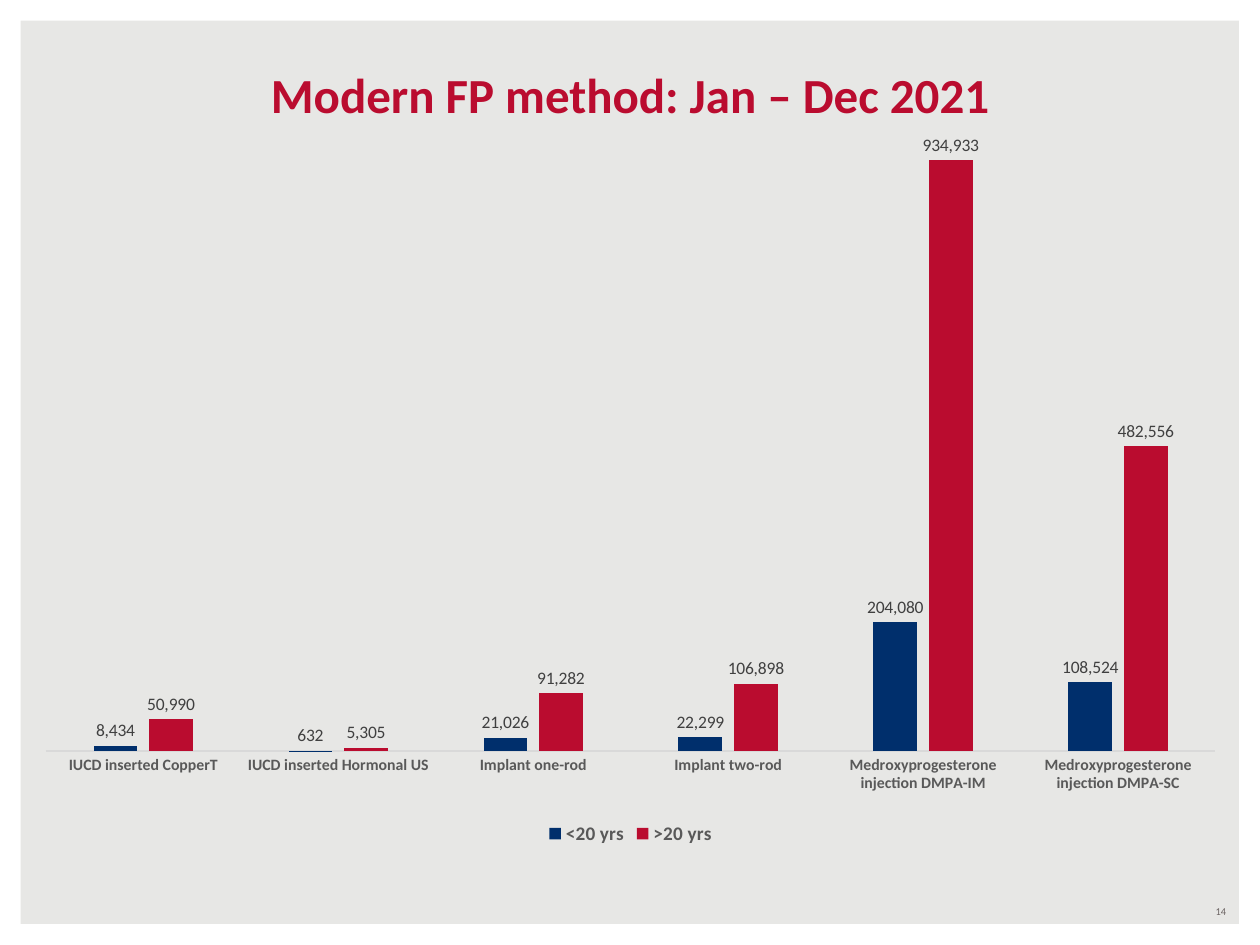
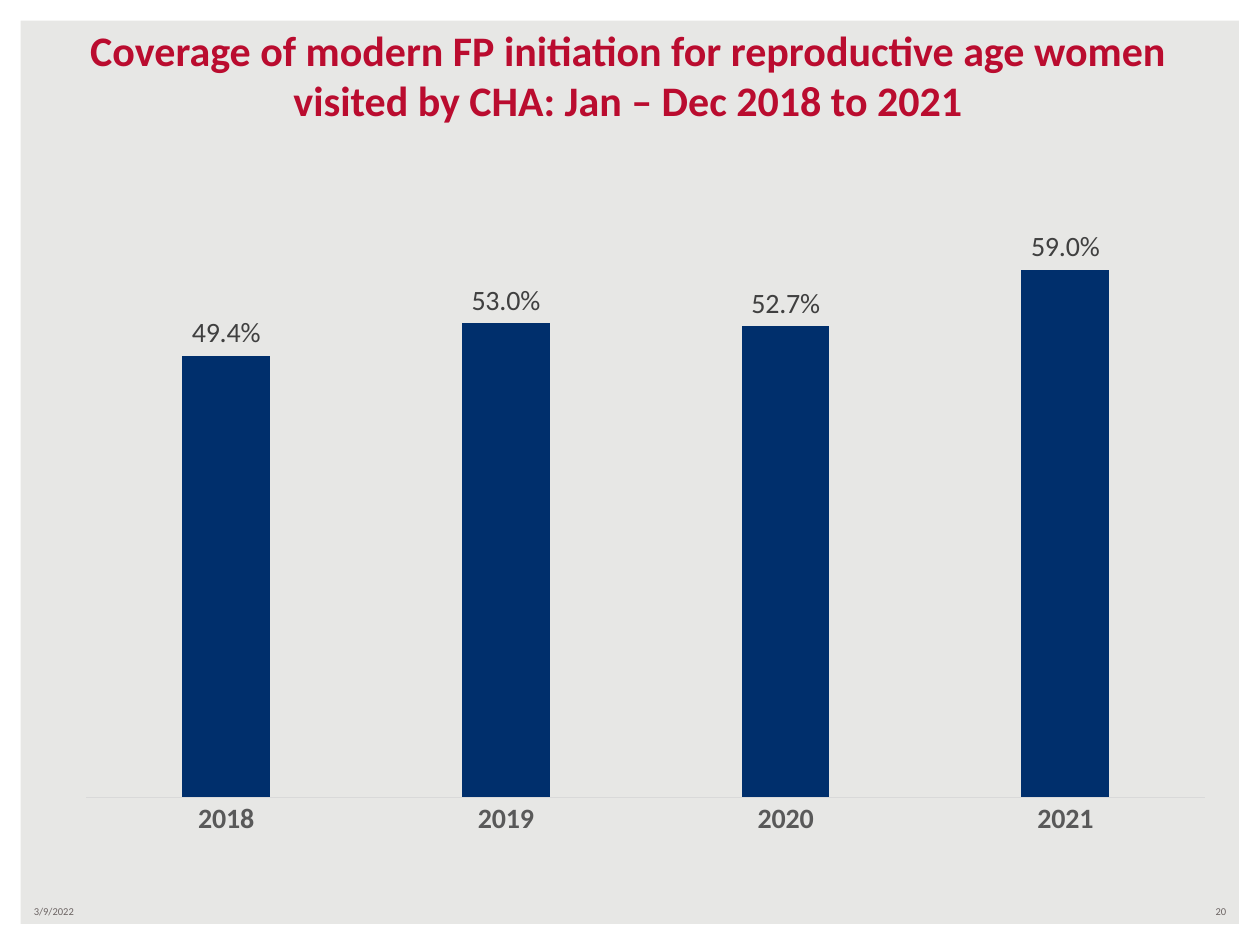
from dataclasses import dataclass

from pptx import Presentation
from pptx.chart.data import CategoryChartData
from pptx.dml.color import RGBColor
from pptx.enum.chart import XL_CHART_TYPE, XL_LABEL_POSITION, XL_LEGEND_POSITION, XL_TICK_MARK
from pptx.enum.shapes import MSO_SHAPE
from pptx.enum.text import MSO_ANCHOR, MSO_AUTO_SIZE, PP_ALIGN
from pptx.util import Inches, Pt

COLUMNS = XL_CHART_TYPE.COLUMN_CLUSTERED
OUTSIDE_END = XL_LABEL_POSITION.OUTSIDE_END
LEGEND_BOTTOM = XL_LEGEND_POSITION.BOTTOM
NO_TICK = XL_TICK_MARK.NONE
FRAME = MSO_SHAPE.FRAME
LEFT, CENTER, RIGHT = PP_ALIGN.LEFT, PP_ALIGN.CENTER, PP_ALIGN.RIGHT
MIDDLE, BOTTOM = MSO_ANCHOR.MIDDLE, MSO_ANCHOR.BOTTOM
GROW = MSO_AUTO_SIZE.SHAPE_TO_FIT_TEXT


@dataclass(frozen=True)
class Theme:
    font: str = "Calibri"
    background: str = "E7E7E5"
    white: str = "FFFFFF"
    red: str = "BA0C2F"
    blue: str = "002F6C"
    black: str = "000000"
    footer: str = "6C6463"
    axis_text: str = "595959"
    axis_line: str = "D9D9D9"
    label: str = "404040"
    footer_size: int = 6
    chart_size: int = 10
    legend_size: int = 11


THEME = Theme()


def set_font(font, size, color, bold=False):
    font.name = THEME.font
    font.size = Pt(size)
    font.bold = bold
    font.color.rgb = RGBColor.from_string(color)


def write_text(shape, text, *, size, color, bold=False, align=LEFT, anchor=MIDDLE):
    frame = shape.text_frame
    frame.word_wrap = True
    frame.auto_size = GROW
    frame.vertical_anchor = anchor
    paragraph = frame.paragraphs[0]
    paragraph.alignment = align
    run = paragraph.add_run()
    run.text = text
    set_font(run.font, size, color, bold)


class SlideBuilder:
    """Holds the theme and the slide being built."""

    def __init__(self, presentation, theme):
        self.presentation = presentation
        self.theme = theme
        self.slide = None

    def new_slide(self, number, date=None):
        self.slide = self.presentation.slides.add_slide(self.presentation.slide_layouts[6])
        fill = self.slide.background.fill
        fill.solid()
        fill.fore_color.rgb = RGBColor.from_string(self.theme.background)
        self.border()
        if date:
            self.footer(date, 0.17, LEFT)
        self.footer(number, 7.5, RIGHT)

    def border(self):
        shape = self.slide.shapes.add_shape(
            FRAME, 0, 0, self.presentation.slide_width, self.presentation.slide_height)
        shape.adjustments[0] = 0.022
        shape.shadow.inherit = False
        shape.fill.solid()
        shape.fill.fore_color.rgb = RGBColor.from_string(self.theme.white)
        shape.line.fill.background()

    def text(self, text, box, **style):
        shape = self.slide.shapes.add_textbox(*map(Inches, box))
        write_text(shape, text, **style)

    def footer(self, text, left, align):
        self.text(text, (left, 7.13, 2.33, 0.2), size=self.theme.footer_size,
                  color=self.theme.footer, align=align)

    def title(self, text, box, size):
        self.text(text, box, size=size, color=self.theme.red, bold=True,
                  align=CENTER, anchor=BOTTOM)

    def column_chart(self, box, categories, series, *, number_format, maximum,
                     axis_size, label_size, legend=False):
        theme = self.theme
        data = CategoryChartData(number_format=number_format)
        data.categories = categories
        for name, values, _ in series:
            data.add_series(name, values)
        chart = self.slide.shapes.add_chart(COLUMNS, *map(Inches, box), data).chart
        set_font(chart.font, theme.chart_size, theme.black)
        chart.has_title = False

        # Axes
        axis = chart.category_axis
        axis.major_tick_mark = axis.minor_tick_mark = NO_TICK
        set_font(axis.tick_labels.font, axis_size, theme.axis_text, bold=True)
        axis.format.line.width = Pt(0.75)
        axis.format.line.color.rgb = RGBColor.from_string(theme.axis_line)
        value_axis = chart.value_axis
        value_axis.visible = False
        value_axis.has_major_gridlines = False
        value_axis.minimum_scale = 0
        value_axis.maximum_scale = maximum

        # Columns and their labels
        plot = chart.plots[0]
        plot.gap_width = 219
        plot.overlap = -27
        plot.vary_by_categories = False
        for columns, (_, _, color) in zip(plot.series, series):
            columns.invert_if_negative = False
            columns.format.fill.solid()
            columns.format.fill.fore_color.rgb = RGBColor.from_string(color)
            labels = columns.data_labels
            labels.show_value = True
            labels.position = OUTSIDE_END
            labels.number_format = number_format
            labels.number_format_is_linked = False
            set_font(labels.font, label_size, theme.label)

        # Legend
        chart.has_legend = legend
        if legend:
            chart.legend.position = LEGEND_BOTTOM
            chart.legend.include_in_layout = False
            set_font(chart.legend.font, theme.legend_size, theme.axis_text, bold=True)


def build_methods_slide(builder):
    builder.new_slide("14")
    builder.title("Modern FP method: Jan – Dec 2021", (0.75, 0.46, 8.5, 0.57), 28)
    methods = ["IUCD inserted CopperT", "IUCD inserted Hormonal US",
               "Implant one-rod", "Implant two-rod",
               "Medroxyprogesterone injection DMPA-IM",
               "Medroxyprogesterone injection DMPA-SC"]
    age_groups = [
        ("<20 yrs", (8434, 632, 21026, 22299, 204080, 108524), THEME.blue),
        (">20 yrs", (50990, 5305, 91282, 106898, 934933, 482556), THEME.red),
    ]
    builder.column_chart((0.17, 0.83, 9.67, 5.92), methods, age_groups,
                         number_format="#,##0", maximum=1000000,
                         axis_size=9, label_size=10, legend=True)


def build_coverage_slide(builder):
    builder.new_slide("20", date="3/9/2022")
    builder.title("Coverage of modern FP initiation for reproductive age women "
                  "visited by CHA: Jan – Dec 2018 to 2021", (0.15, 0.13, 9.67, 0.91), 24)
    coverage = [("Series 1", (0.494, 0.530, 0.527, 0.590), THEME.blue)]
    builder.column_chart((0.5, 1.25, 9.25, 5.5), ["2018", "2019", "2020", "2021"], coverage,
                         number_format="0.0%", maximum=0.7,
                         axis_size=16, label_size=16)


def main():
    presentation = Presentation()
    presentation.slide_width = Inches(10)
    presentation.slide_height = Inches(7.5)
    builder = SlideBuilder(presentation, THEME)
    build_methods_slide(builder)
    build_coverage_slide(builder)
    presentation.save("out.pptx")


if __name__ == "__main__":
    main()
